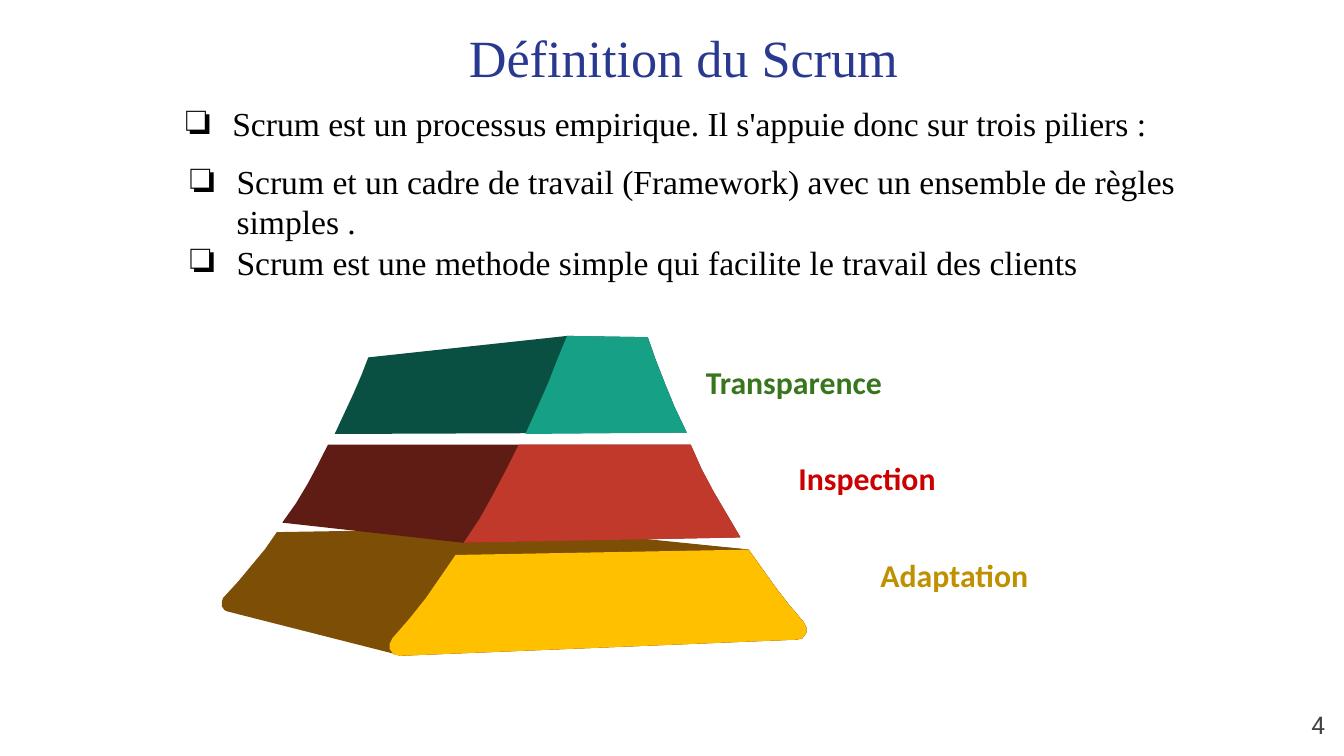
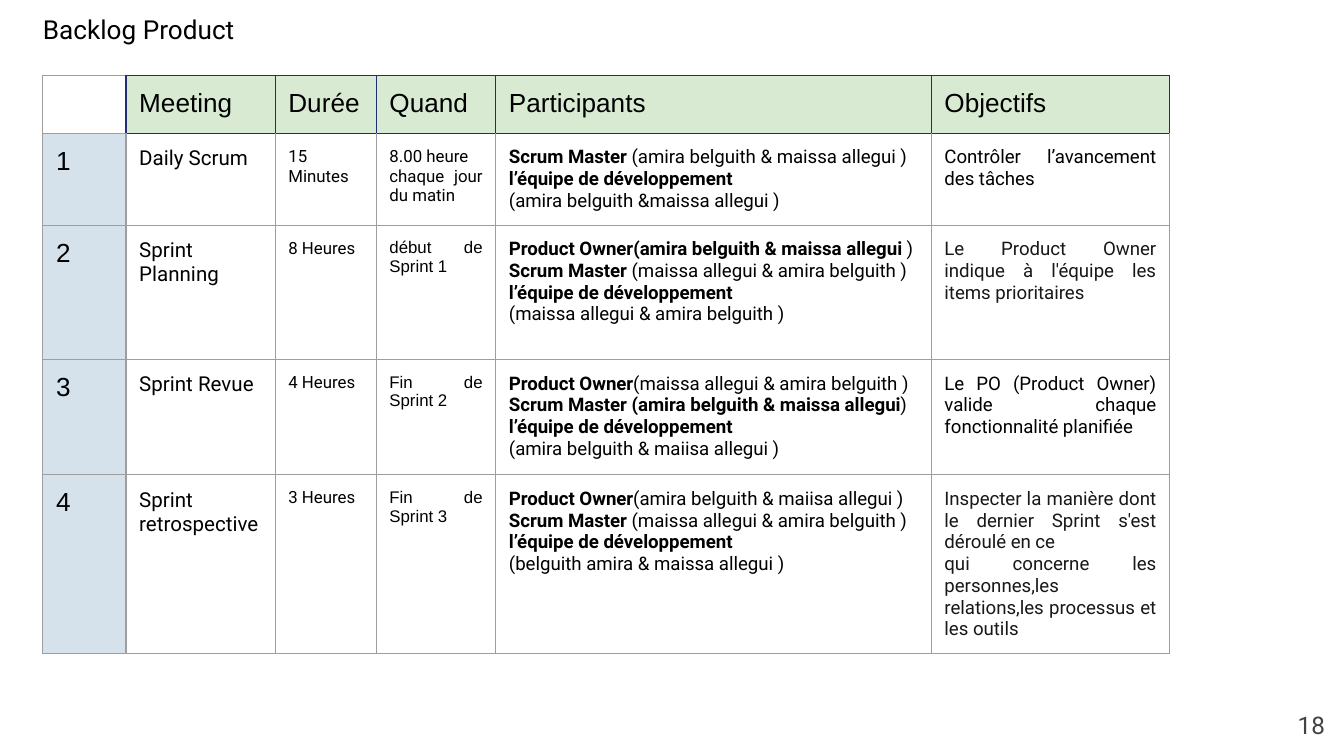
from dataclasses import dataclass, field

from lxml import etree
from pptx import Presentation
from pptx.dml.color import RGBColor
from pptx.enum.text import MSO_ANCHOR, MSO_AUTO_SIZE, PP_ALIGN
from pptx.oxml.ns import qn
from pptx.util import Cm, Pt

LEFT, CENTER, RIGHT, JUSTIFY = (
    PP_ALIGN.LEFT, PP_ALIGN.CENTER, PP_ALIGN.RIGHT, PP_ALIGN.JUSTIFY)
TOP, BOTTOM = MSO_ANCHOR.TOP, MSO_ANCHOR.BOTTOM
FIXED = MSO_AUTO_SIZE.NONE

PAD = (0.25, 0.25, 0.25, 0.25)
UNIT = Cm(2.54) / 100  # outline points count hundredths of an inch


def style(size, name, color="000000", align=LEFT, bold=False):
    return {"size": Pt(size), "name": name, "color": color,
            "align": align, "bold": bold}


@dataclass
class Theme:
    grid: str = "9E9E9E"
    navy: str = "212D74"
    head: str = "D9EAD3"
    side: str = "D5E1EB"
    brown: str = "7C4E06"
    gold: str = "FFC000"
    wine: str = "5F1C15"
    red: str = "C0392B"
    pine: str = "0A5042"
    teal: str = "16A085"
    text: dict = field(default_factory=lambda: {
        "title": style(28, "Times New Roman", "2A3990", CENTER),
        "small": style(14, "Roboto"),
        "list": style(18, "Times New Roman"),
        "page": style(13, "Roboto", "434343", RIGHT),
        "green": style(17, "Calibri", "38761D", bold=True),
        "red": style(17, "Calibri", "CC0000", bold=True),
        "gold": style(17, "Calibri", "BF9000", bold=True),
        "head": style(14, "Arial", align=JUSTIFY),
        "name": style(11, "Roboto", align=JUSTIFY),
        "time": style(9, "Roboto", align=JUSTIFY),
        "when": style(9, "Arial", align=JUSTIFY),
        "cell": style(10, "Roboto", align=JUSTIFY),
        "goal": style(10, "Roboto", "181818", JUSTIFY),
    })


class Deck:
    """Holds the theme and the current slide."""

    def __init__(self, theme):
        self.theme = theme
        self.prs = Presentation()
        self.prs.slide_width, self.prs.slide_height = Cm(25.4), Cm(14.29)
        self.slide = None

    def start(self, layout, page):
        self.slide = self.prs.slides.add_slide(self.prs.slide_layouts[layout])
        self.label(page, "page", (23.77, 13.18, 1.52, 1.09))

    def put(self, frame, text, kind):
        """One paragraph a line; parts between asterisks are bold."""
        form = self.theme.text[kind]
        for i, line in enumerate(text.split("\n")):
            para = frame.add_paragraph() if i else frame.paragraphs[0]
            para.alignment = form["align"]
            para.space_before = para.space_after = Pt(0)
            for j, part in enumerate(line.split("*")):
                if not part:
                    continue
                run = para.add_run()
                run.text = part
                for key in ("size", "name"):
                    setattr(run.font, key, form[key])
                run.font.bold = form["bold"] or j % 2 == 1
                run.font.color.rgb = RGBColor.from_string(form["color"])

    def fit(self, shape, box, pad=PAD, anchor=TOP):
        for key, size in zip(("left", "top", "width", "height"), box):
            setattr(shape, key, Cm(size))
        frame = shape.text_frame
        sides = ("margin_left", "margin_top", "margin_right", "margin_bottom")
        form = dict(zip(sides, map(Cm, pad)))
        form.update(word_wrap=True, auto_size=FIXED, vertical_anchor=anchor)
        for key, value in form.items():
            setattr(frame, key, value)
        return frame

    def title(self, text, kind, box):
        self.put(self.fit(self.slide.shapes.title, box), text, kind)

    def label(self, text, kind, box, pad=PAD, anchor=TOP):
        shape = self.slide.shapes.add_textbox(0, 0, 0, 0)
        self.put(self.fit(shape, box, pad, anchor), text, kind)

    def bullets(self, slot, text, box):
        frame = self.fit(self.slide.placeholders[slot], box)
        self.put(frame, text, "list")
        form = self.theme.text["list"]
        for para in frame.paragraphs:
            prop = para._p.get_or_add_pPr()
            prop.set("marL", str(Cm(1.27)))
            prop.set("indent", str(Cm(-0.89)))
            tint = etree.SubElement(prop, qn("a:buClr"))
            etree.SubElement(tint, qn("a:srgbClr"), val=form["color"])
            etree.SubElement(prop, qn("a:buFont"), typeface=form["name"])
            etree.SubElement(prop, qn("a:buChar"), char="❏")

    def face(self, points, color):
        pen = self.slide.shapes.build_freeform(*points[0], scale=UNIT)
        pen.add_line_segments(points[1:], close=True)
        shape = pen.convert_to_shape()
        shape.shadow.inherit = False
        shape.fill.solid()
        shape.fill.fore_color.rgb = RGBColor.from_string(color)
        shape.line.fill.background()

    def border(self, cell, colors):
        prop = cell._tc.get_or_add_tcPr()
        for i, (tag, color) in enumerate(zip(("lnL", "lnR", "lnT", "lnB"), colors)):
            line = etree.Element(qn("a:" + tag), w=str(Pt(0.75)))
            fill = etree.SubElement(line, qn("a:solidFill"))
            etree.SubElement(fill, qn("a:srgbClr"), val=color)
            prop.insert(i, line)

    def table(self, rows, kinds, other, place, wide, high):
        look = self.theme
        grid = self.slide.shapes.add_table(
            len(rows), len(wide), *map(Cm, place), Cm(sum(wide)), Cm(sum(high))).table
        grid.first_row = grid.horz_banding = False
        for col, size in zip(grid.columns, wide):
            col.width = Cm(size)
        for r, row in enumerate(rows):
            grid.rows[r].height = Cm(high[r])
            for c, text in enumerate(row):
                cell = grid.cell(r, c)
                for key in ("left", "top", "right", "bottom"):
                    setattr(cell, "margin_" + key, Cm(0.25))
                kind = other.get((r, c), kinds[c]) if r else "head"
                self.put(cell.text_frame, text, kind)
                if not text:
                    size = look.text[kind]["size"].pt
                    etree.SubElement(cell.text_frame.paragraphs[0]._p,
                                     qn("a:endParaRPr"), sz=str(int(size * 100)))
                head = r == 0 and c > 0
                color = look.head if head else look.side if r and not c else None
                if color:
                    cell.fill.solid()
                    cell.fill.fore_color.rgb = RGBColor.from_string(color)
                else:
                    cell.fill.background()
                # Lines that touch a header cell are navy
                navy = (head, r == 0, head or (r == 1 and c > 0), head)
                self.border(cell, [look.navy if on else look.grid for on in navy])


def define(deck):
    look = deck.theme
    deck.start(3, "4")
    deck.title("Définition du Scrum", "title", (6.88, 0.23, 12.07, 3))
    deck.bullets(1, "Scrum est un processus empirique. Il s'appuie donc sur "
                 "trois piliers :", (2.87, 1.7, 19.74, 2.82))
    deck.bullets(2, "Scrum et un cadre de travail (Framework) avec un ensemble "
                 "de règles simples .\nScrum est une methode simple qui "
                 "facilite le travail des clients", (2.95, 2.79, 20.37, 3.43))

    # Pyramid edges, each from top to bottom
    tip = [(482, 251), (488, 268), (495, 286), (502, 303), (511, 322)]
    ridge = [(422, 250), (415, 267), (408, 285), (400, 303), (391, 323)]
    waist = [(514, 331), (522, 349), (531, 366), (541, 383), (551, 400)]
    fold = [(386, 331), (377, 349), (367, 368), (357, 386), (345, 404)]
    foot = [(557, 409), (567, 423), (577, 437), (587, 450), (598, 463),
            (600, 467), (600, 471), (597, 475), (593, 476)]
    heel = [(339, 413), (328, 429), (317, 445), (305, 460), (292, 475),
            (290, 479), (290, 483), (293, 487), (298, 488)]

    # Dark faces lie behind the bright ones
    deck.face([(249, 323), (256, 308), (263, 293), (269, 279), (274, 266),
               ridge[0]] + tip, look.pine)
    deck.face([(388, 393), (206, 396), (197, 409), (187, 421), (177, 433),
               (166, 445), (165, 448), (165, 451), (167, 454), (169, 455),
               (295, 487), (298, 488)] + foot[::-1], look.brown)
    deck.face([(210, 389), (220, 375), (229, 360), (237, 345), (244, 331)]
              + waist + [fold[-1]], look.wine)
    deck.face([(346, 404), (479, 401)] + foot + heel[::-1], look.brown)
    deck.face(foot + heel[::-1], look.gold)
    deck.face(waist + fold[::-1], look.red)
    deck.face(tip + ridge[::-1], look.teal)

    # Pillar names
    names = (("Transparence", "green", 13.34), ("Inspection", "red", 15.09),
             ("Adaptation", "gold", 16.64))
    for i, (name, kind, left) in enumerate(names):
        deck.label(name, kind, (left, 6.71 + 1.83 * i, 7.57, 0.99),
                   (0, 0.13, 0.25, 0.13), BOTTOM)


def backlog(deck):
    deck.start(5, "18")
    deck.title("Backlog Product", "small", (0.56, 0, 12.29, 1.12))
    team = "*l’équipe de développement *\n"
    rows = [
        ("", "Meeting", "Durée", "Quand", "Participants", "Objectifs"),
        ("1", "Daily Scrum", "15 Minutes", "8.00 heure\nchaque jour du matin ",
         "*Scrum Master *(amira belguith & maissa allegui )\n"
         + team + "(amira belguith &maissa allegui )",
         "Contrôler l’avancement des tâches "),
        ("2", "Sprint Planning", "8 Heures", "début de Sprint 1",
         "*Product Owner(amira belguith & maissa allegui *)\n"
         "*Scrum Master *(maissa allegui & amira belguith )\n"
         + team + "(maissa allegui & amira belguith )",
         "Le Product Owner indique à l'équipe les items prioritaires"),
        ("3", "Sprint Revue", "4 Heures", "Fin de Sprint 2",
         "*Product Owner*(maissa allegui & amira belguith )\n"
         "*Scrum Master (amira belguith & maissa allegui*)\n"
         + team + "(amira belguith & maiisa allegui )",
         "Le PO (Product Owner) valide chaque fonctionnalité planifiée"),
        ("4", "Sprint retrospective", "3 Heures", "Fin de Sprint 3",
         "*Product Owner*(amira belguith & maiisa allegui )\n"
         "*Scrum Master *(maissa allegui & amira belguith )\n"
         + team + "(belguith amira & maissa allegui )",
         "Inspecter la manière dont le dernier Sprint s'est déroulé en ce\n"
         "qui concerne les personnes,les relations,les processus et les outils"),
    ]
    deck.table(rows, ("head", "name", "time", "when", "cell", "cell"),
               {(1, 3): "time", (2, 5): "goal", (4, 5): "goal"}, (0.81, 1.42),
               (1.57, 2.82, 1.91, 2.26, 8.23, 4.5), (0.99, 1.7, 2.54, 2.18, 3.07))


def main():
    deck = Deck(Theme())
    define(deck)
    backlog(deck)
    deck.prs.save("out.pptx")


if __name__ == "__main__":
    main()
